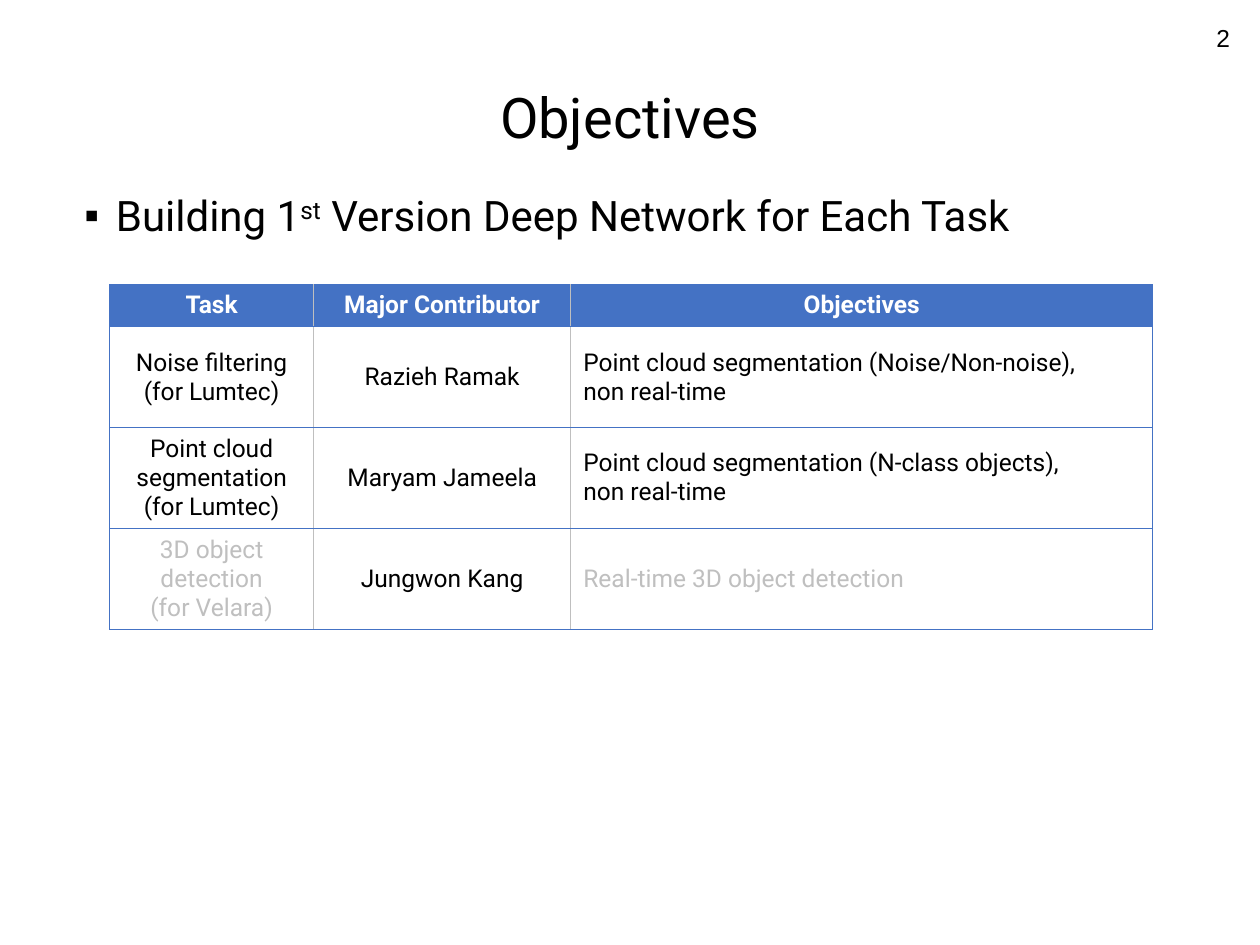
"""Build the Objectives slide with its table of tasks and contributors."""
from dataclasses import dataclass

from lxml.etree import SubElement
from pptx import Presentation
from pptx.dml.color import RGBColor
from pptx.enum.text import MSO_ANCHOR, MSO_AUTO_SIZE, PP_ALIGN
from pptx.oxml.ns import qn
from pptx.util import Inches, Pt


@dataclass(frozen=True)
class Theme:
    """Fonts, colours and type sizes."""
    font: str = "Roboto"
    number_font: str = "Arial"
    text: str = "000000"
    muted: str = "BFBFBF"
    accent: str = "4472C4"
    white: str = "FFFFFF"
    title: int = 32
    body: int = 24
    small: int = 14


@dataclass(frozen=True)
class Task:
    """One row of the table."""
    name: str
    contributor: str
    objective: str
    muted: bool = False


T = Theme()
HEADERS = ("Task", "Major Contributor", "Objectives")
TASKS = (
    Task("Noise filtering\n(for Lumtec)", "Razieh Ramak",
         "Point cloud segmentation (Noise/Non-noise),\nnon real-time"),
    Task("Point cloud\nsegmentation\n(for Lumtec)", "Maryam Jameela",
         "Point cloud segmentation (N-class objects),\nnon real-time"),
    Task("3D object\ndetection\n(for Velara)", "Jungwon Kang",
         "Real-time 3D object detection", muted=True),
)
COL_WIDTHS = (1.62, 2.04, 4.62)
HEADER_HEIGHT, ROW_HEIGHT = 0.33, 0.8


def place(sp, left: float, top: float, width: float, height: float) -> None:
    """Move and size a shape, in inches."""
    sp.left, sp.top = Inches(left), Inches(top)
    sp.width, sp.height = Inches(width), Inches(height)


def style(tf, size: int, color: str = T.text, font: str = T.font,
          bold: bool = False, align=PP_ALIGN.LEFT) -> None:
    """Format every paragraph and run of a text frame."""
    for p in tf.paragraphs:
        p.alignment = align
        for r in p.runs:
            r.font.name, r.font.size, r.font.bold = font, Pt(size), bold
            r.font.color.rgb = RGBColor.from_string(color)


def add_title(s) -> None:
    """Fill the title placeholder."""
    sp = s.shapes.title
    place(sp, 0.69, 0.62, 8.62, 0.67)
    tf = sp.text_frame
    tf.text = "Objectives"
    tf.auto_size = MSO_AUTO_SIZE.NONE
    tf.vertical_anchor = MSO_ANCHOR.MIDDLE
    tf.paragraphs[0].line_spacing = 0.9
    style(tf, T.title, align=PP_ALIGN.CENTER)


def add_body(s) -> None:
    """Fill the body placeholder with one bulleted line."""
    sp = s.placeholders[1]
    place(sp, 0.57, 1.5, 8.86, 1.18)
    tf = sp.text_frame
    tf.auto_size = MSO_AUTO_SIZE.NONE
    p = tf.paragraphs[0]
    for text in ("Building 1", "st", " Version Deep Network for Each Task"):
        p.add_run().text = text
    p.line_spacing, p.space_before = 0.9, Pt(10)
    style(tf, T.body)
    p.runs[1].font._element.set("baseline", "30000")
    pPr = p._p.get_or_add_pPr()
    pPr.set("marL", str(Inches(0.25)))
    pPr.set("indent", str(Inches(-0.25)))
    SubElement(pPr, qn("a:buFont"), typeface=T.number_font)
    SubElement(pPr, qn("a:buChar"), char="▪")


def add_number(s) -> None:
    """Write the slide number in the top right corner."""
    tf = s.shapes.add_textbox(Inches(7.61), Inches(0.1), Inches(2.25), Inches(0.4)).text_frame
    tf.word_wrap = True
    tf.vertical_anchor = MSO_ANCHOR.MIDDLE
    tf.text = "2"
    style(tf, T.small, font=T.number_font, align=PP_ALIGN.RIGHT)


def add_border(cell, side: str, color: str, width: float) -> None:
    """Draw one side of a cell's border."""
    ln = SubElement(cell._tc.get_or_add_tcPr(), qn(f"a:ln{side}"), w=str(Pt(width)))
    SubElement(SubElement(ln, qn("a:solidFill")), qn("a:srgbClr"), val=color)


def fill_cell(cell, col: int, text: str, color: str, fill: str, header: bool) -> None:
    """Write a cell and set its borders and fill."""
    outer, inner = (T.accent, 0.5), (T.muted, 1)
    add_border(cell, "L", *(outer if col == 0 else inner))
    add_border(cell, "R", *(outer if col == len(HEADERS) - 1 else inner))
    for side in "TB":
        add_border(cell, side, *outer)
    cell.fill.solid()
    cell.fill.fore_color.rgb = RGBColor.from_string(fill)
    cell.vertical_anchor = MSO_ANCHOR.TOP if header else MSO_ANCHOR.MIDDLE
    cell.text_frame.text = text
    centred = header or col < len(HEADERS) - 1
    style(cell.text_frame, T.small, color, bold=header,
          align=PP_ALIGN.CENTER if centred else PP_ALIGN.LEFT)


def add_tasks(s) -> None:
    """Add the table of tasks."""
    height = HEADER_HEIGHT + ROW_HEIGHT * len(TASKS)
    table = s.shapes.add_table(len(TASKS) + 1, len(HEADERS), Inches(0.87), Inches(2.26),
                               Inches(sum(COL_WIDTHS)), Inches(height)).table
    table.horz_banding = False
    for column, width in zip(table.columns, COL_WIDTHS):
        column.width = Inches(width)
    for i, row in enumerate(table.rows):
        row.height = Inches(ROW_HEIGHT if i else HEADER_HEIGHT)
    for col, text in enumerate(HEADERS):
        fill_cell(table.cell(0, col), col, text, T.white, T.accent, True)
    for i, task in enumerate(TASKS, 1):
        shade = T.muted if task.muted else T.text
        cells = ((task.name, shade), (task.contributor, T.text), (task.objective, shade))
        for col, (text, color) in enumerate(cells):
            fill_cell(table.cell(i, col), col, text, color, T.white, False)


def main() -> None:
    """Build and save the slide."""
    prs = Presentation()
    prs.slide_width, prs.slide_height = Inches(10), Inches(7.5)
    s = prs.slides.add_slide(prs.slide_layouts[1])
    add_title(s)
    add_body(s)
    add_number(s)
    add_tasks(s)
    prs.save("out.pptx")


if __name__ == "__main__":
    main()
